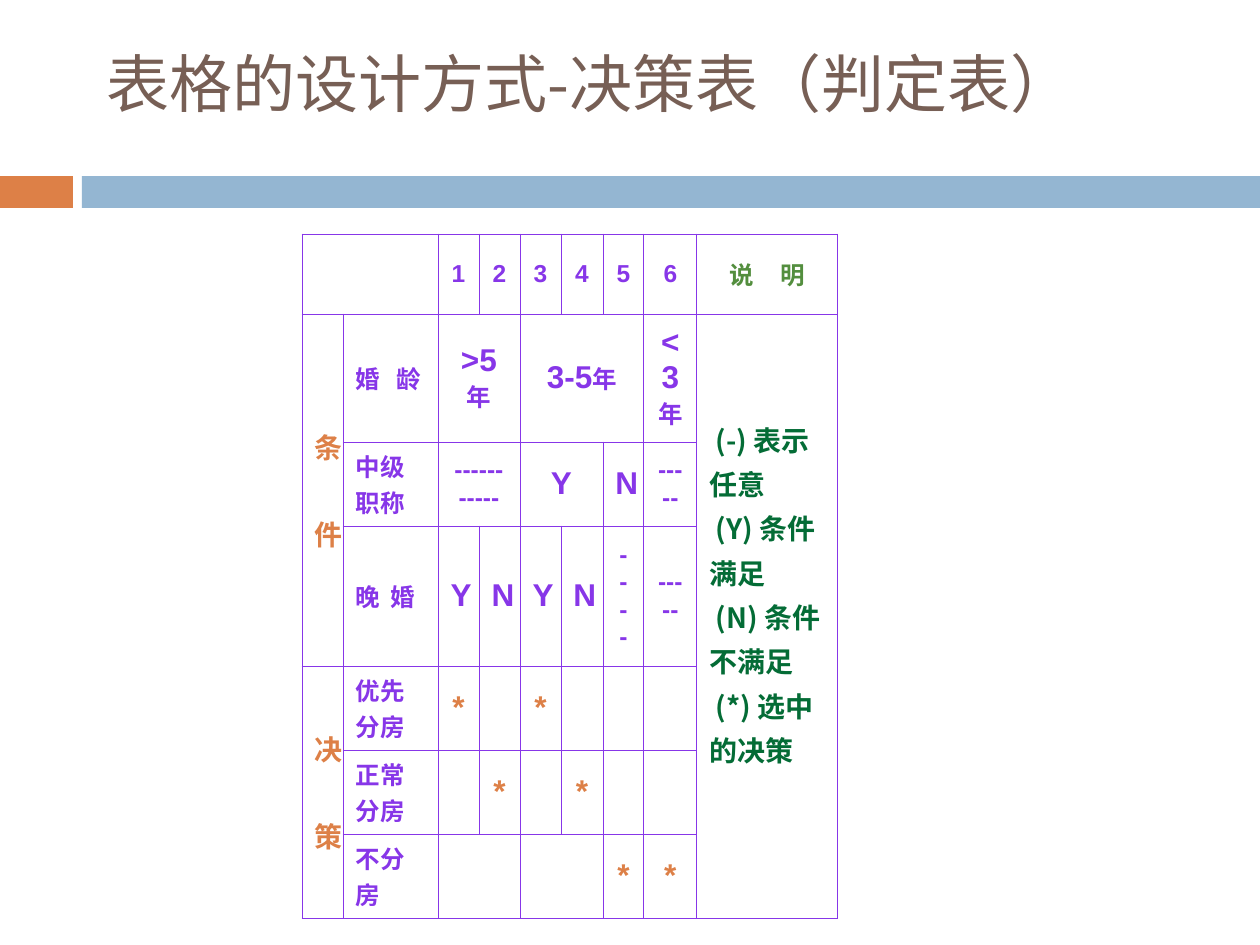
"""Build a slide with a decision table for housing allocation."""
from lxml.etree import SubElement
from pptx import Presentation
from pptx.dml.color import RGBColor
from pptx.enum.shapes import MSO_SHAPE
from pptx.enum.text import MSO_ANCHOR, PP_ALIGN
from pptx.oxml import parse_xml
from pptx.oxml.ns import nsdecls, qn
from pptx.util import Emu, Pt

ORANGE = RGBColor(0xDD, 0x80, 0x47)
BLUE = RGBColor(0x94, 0xB6, 0xD2)
BROWN = RGBColor(0x77, 0x5F, 0x55)
PURPLE = RGBColor(0x87, 0x36, 0xE8)
LEAF = RGBColor(0x53, 0x8E, 0x3E)
GREEN = RGBColor(0x04, 0x6C, 0x36)
CJK = "Noto Sans CJK SC"
LATIN = "Arial"


def px(n):
    return Emu(round(n * 914400 / 126))


class Deck:
    def __init__(self, width, height):
        self.prs = Presentation()
        self.prs.slide_width, self.prs.slide_height = px(width), px(height)
        self.s = self.prs.slides.add_slide(self.prs.slide_layouts[6])

    def bar(self, x, y, w, h, color):
        sp = self.s.shapes.add_shape(MSO_SHAPE.RECTANGLE, px(x), px(y), px(w), px(h))
        sp.shadow.inherit = False
        sp.fill.solid()
        sp.fill.fore_color.rgb = color
        sp.line.fill.background()

    def run(self, p, text, size, color, font=LATIN, bold=True, spacing=0):
        r = p.add_run()
        r.text = text
        r.font.size, r.font.name, r.font.bold = Pt(size), font, bold
        r.font.color.rgb = color
        SubElement(r.font._element, qn("a:ea")).set("typeface", CJK)
        if spacing:
            r.font._element.set("spc", str(spacing * 100))

    def title(self, x, y, w, h, runs):
        tf = self.s.shapes.add_textbox(px(x), px(y), px(w), px(h)).text_frame
        tf.word_wrap = True
        tf.margin_top = 0
        for text, font in runs:
            self.run(tf.paragraphs[0], text, 36, BROWN, font, False)

    def table(self, x, y, cols, rows):
        frame = self.s.shapes.add_table(len(rows), len(cols), px(x), px(y),
                                        px(sum(cols)), px(sum(rows)))
        self.tbl = frame.table
        self.tbl.first_row = self.tbl.horz_banding = False
        for col, width in zip(self.tbl.columns, cols):
            col.width = px(width)
        for row, height in zip(self.tbl.rows, rows):
            row.height = px(height)
        for cell in self.tbl.iter_cells():
            cell.fill.background()
            self.borders(cell)

    def borders(self, cell):
        tcPr = cell._tc.get_or_add_tcPr()
        for i, side in enumerate("LRTB"):
            tcPr.insert(i, parse_xml(
                f'<a:ln{side} {nsdecls("a")} w="5715"><a:solidFill>'
                f'<a:srgbClr val="{PURPLE}"/></a:solidFill></a:ln{side}>'))

    def merge(self, row, col, rows, cols):
        self.tbl.cell(row, col).merge(self.tbl.cell(row + rows - 1, col + cols - 1))

    def cell(self, row, col, *runs, align=PP_ALIGN.CENTER):
        cell = self.tbl.cell(row, col)
        cell.vertical_anchor = MSO_ANCHOR.MIDDLE
        p = cell.text_frame.paragraphs[0]
        p.alignment = align
        p.space_before = Pt(runs[-1][1] / 4)
        for r in runs:
            self.run(p, *r)

    def label(self, row, col, words, color=PURPLE, gap=0, align=PP_ALIGN.LEFT):
        first, space, last = words.partition(" ")
        runs = [(first, 14, color)]
        if space:
            runs += [(space, 14, color, LATIN, True, gap), (last, 14, color)]
        self.cell(row, col, *runs, align=align)

    def side_heading(self, row, top, bottom):
        self.cell(row, 0, (top, 16, ORANGE))
        p = self.tbl.cell(row, 0).text_frame.add_paragraph()
        p.alignment = PP_ALIGN.CENTER
        p.space_before = Pt(27)
        self.run(p, bottom, 16, ORANGE)

    def notes(self, row, col, lines):
        cell = self.tbl.cell(row, col)
        cell.vertical_anchor = MSO_ANCHOR.MIDDLE
        cell.margin_bottom = px(54)
        tf = cell.text_frame
        for i, line in enumerate(lines):
            p = tf.add_paragraph() if i else tf.paragraphs[0]
            p.line_spacing = 1.1
            self.run(p, line, 16, GREEN, CJK)


def main():
    deck = Deck(1260, 945)
    deck.bar(0, 176, 73, 32, ORANGE)
    deck.bar(82, 176, 1178, 32, BLUE)
    deck.title(94, 45, 1071, 158, [("表格的设计方式-", CJK), ("决策表（判定表）", "Calibri")])

    deck.table(302, 234, [41, 95, 41, 41, 41, 42, 41, 53, 141],
               [80, 128, 84, 140, 84, 84, 84])
    for span in [(0, 0, 1, 2), (1, 0, 3, 1), (4, 0, 3, 1), (1, 8, 6, 1), (1, 2, 1, 2),
                 (1, 4, 1, 3), (2, 2, 1, 2), (2, 4, 1, 2), (6, 2, 1, 2), (6, 4, 1, 2)]:
        deck.merge(*span)

    for rule in range(1, 7):
        deck.cell(0, rule + 1, (str(rule), 14, PURPLE))
    deck.label(0, 8, "说 明", LEAF, 12, PP_ALIGN.CENTER)
    deck.side_heading(1, "条", "件")
    deck.side_heading(4, "决", "策")
    for row, (words, gap) in enumerate([("婚 龄", 6), ("中级职称", 0), ("晚 婚", 3),
                                        ("优先分房", 0), ("正常分房", 0), ("不分房", 0)], 1):
        deck.label(row, 1, words, gap=gap)

    for col, years in [(2, ">5"), (4, "3-5"), (7, "<3")]:
        deck.cell(1, col, (years, 18, PURPLE), ("年", 14, PURPLE))
    for row, col, count in [(2, 2, 11), (2, 7, 5), (3, 6, 4), (3, 7, 5)]:
        deck.cell(row, col, ("-" * count, 14, PURPLE))
    for row, col, answer in [(2, 4, "Y"), (2, 6, "N"), (3, 2, "Y"),
                             (3, 3, "N"), (3, 4, "Y"), (3, 5, "N")]:
        deck.cell(row, col, (answer, 18, PURPLE))
    for row, col in [(4, 2), (4, 4), (5, 3), (5, 5), (6, 6), (6, 7)]:
        deck.cell(row, col, ("*", 18, ORANGE))
    deck.notes(1, 8, [" (-) 表示任意", " (Y) 条件满足", " (N) 条件不满足", " (*) 选中的决策"])

    deck.prs.save("out.pptx")


if __name__ == "__main__":
    main()
